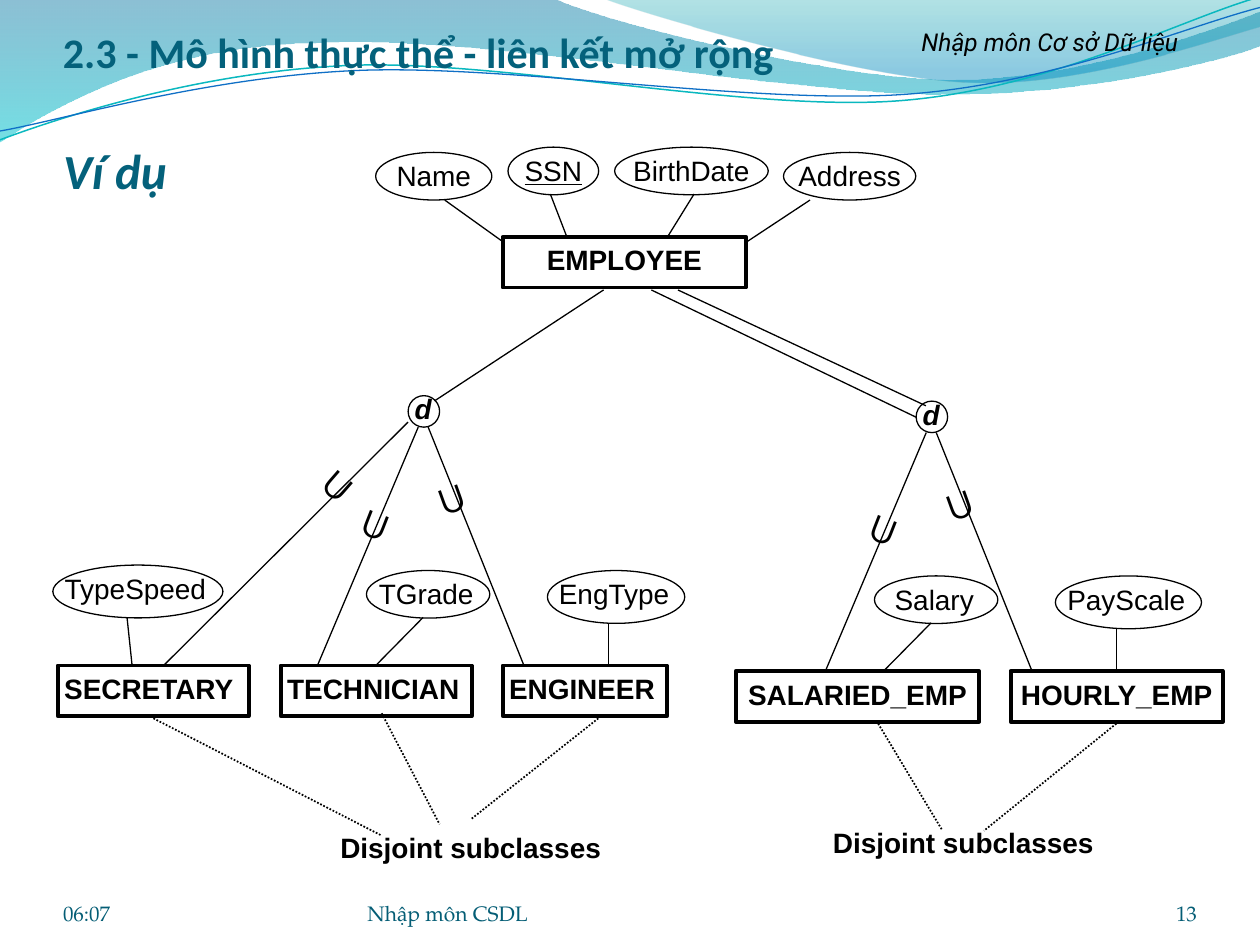
from collections import namedtuple
from math import cos, radians, sin

from pptx import Presentation
from pptx.dml.color import RGBColor
from pptx.enum.dml import MSO_LINE
from pptx.enum.shapes import MSO_CONNECTOR, MSO_SHAPE
from pptx.enum.text import MSO_ANCHOR as Anchor, MSO_AUTO_SIZE, PP_ALIGN as Align
from pptx.oxml.ns import qn
from pptx.oxml.xmlchemy import OxmlElement
from pptx.util import Pt

BLACK, TEAL, FOOTER_TEAL = "000000", "04617B", "045D75"
LABEL_HEIGHT, ENTITY_HEIGHT = 26.6, 29
ENTITY_TOP = 154.2
STRAND_TILT = 2.7


class Box(namedtuple("Box", "left top width height")):
    def inner(self, left, top, width, height):
        return Box(self.left + left, self.top + top, width, height)

    def lengths(self):
        return [Pt(value) for value in self]


def color(hex_string):
    return RGBColor.from_string(hex_string)


def write(shape, text, size=16, font="Arial", hue=BLACK, bold=False, italic=False,
          underline=False, align=Align.CENTER, anchor=Anchor.TOP,
          insets=(7.2, 3.6, 7.2, 3.6)):
    frame = shape.text_frame
    frame.word_wrap = True
    frame.auto_size = MSO_AUTO_SIZE.NONE
    frame.vertical_anchor = anchor
    frame.margin_left, frame.margin_top, frame.margin_right, frame.margin_bottom = (
        Pt(inset) for inset in insets)
    para = frame.paragraphs[0]
    para.text = text
    para.alignment = align
    para.font.size, para.font.name = Pt(size), font
    para.font.bold, para.font.italic, para.font.underline = bold, italic, underline
    para.font.color.rgb = color(hue)


def add_text(page, box, text, **style):
    shape = page.shapes.add_textbox(*box.lengths())
    write(shape, text, **style)
    return shape


def add_outline(page, kind, box, weight=0.75):
    shape = page.shapes.add_shape(kind, *box.lengths())
    shape.shadow.inherit = False
    shape.fill.background()
    shape.line.color.rgb = color(BLACK)
    shape.line.width = Pt(weight)
    return shape


def add_lines(page, box, ends, dotted=False):
    for x1, y1, x2, y2 in ends:
        line = page.shapes.add_connector(
            MSO_CONNECTOR.STRAIGHT, Pt(box.left + x1), Pt(box.top + y1),
            Pt(box.left + x2), Pt(box.top + y2))
        line.line.color.rgb = color(BLACK)
        line.line.width = Pt(1 if dotted else 0.75)
        if dotted:
            line.line.dash_style = MSO_LINE.ROUND_DOT
        line._element.spPr.append(OxmlElement("a:effectLst"))


def add_entity(page, box, name, align=Align.CENTER):
    shape = add_outline(page, MSO_SHAPE.RECTANGLE, box, 2.25)
    write(shape, name, bold=True, align=align, insets=(3.6,) * 4)


def add_attribute(page, box, name, overhang=0, underline=False):
    add_outline(page, MSO_SHAPE.OVAL, box)
    label = box.inner(-overhang, 0, box.width + 1.67 * overhang, LABEL_HEIGHT)
    add_text(page, label, name, underline=underline)


def add_subset_sign(page, box, left, top, angle):
    sign = add_text(page, box.inner(left, top, 33.1, 36), "∪", size=24, align=Align.LEFT)
    sign.rotation = angle


def add_curve(page, box, steps, closed):
    points = [(Pt(box.left + x), Pt(box.top + y)) for step in steps for x, y in step]
    builder = page.shapes.build_freeform(*points[0], scale=1.0)
    builder.add_line_segments(points[1:], close=closed)
    shape = builder.convert_to_shape()
    shape.shadow.inherit = False
    segments = iter(list(shape._element.spPr.iter(qn("a:lnTo"))))
    for step in steps[1:]:
        corners = [next(segments) for _ in step]
        if len(corners) == 3:
            bezier = OxmlElement("a:cubicBezTo")
            corners[0].addprevious(bezier)
            for corner in corners:
                bezier.append(corner[0])
                corner.getparent().remove(corner)
    return shape


def turn(steps, box, degrees):
    middle_x, middle_y = box.left + box.width / 2, box.top + box.height / 2
    c, s = cos(radians(degrees)), sin(radians(degrees))
    return [[(middle_x + (x - middle_x) * c - (y - middle_y) * s,
              middle_y + (x - middle_x) * s + (y - middle_y) * c) for x, y in step]
            for step in steps]


def draw_banner(page, box):
    waves = [
        ([[(0, -0.7)], [(316.8, -0.7)],
          [(342.7, 12.2), (478.1, 45.4), (545.8, 45.4)],
          [(614.2, 45.4), (689.8, 18.7), (720, 6.5)], [(720.7, 25.9)],
          [(707.8, 31.7), (626.4, 54.7), (537.1, 54)],
          [(447.8, 54), (275, 20.2), (185, 24.5)],
          [(92.9, 25.2), (33.1, 59.8), (-0.7, 81.4)]],
         [(0, "0074A1", 45), (1, "00C6CF", 55)]),
        ([[(344.9, -0.7)], [(366.5, 7.9), (491, 44.6), (553.7, 46.8)],
          [(616.3, 49.7), (691.9, 23), (720, 15.1)], [(720, 0)]],
         [(0, "00A1A9", 30), (0.8, "008BBF", 45)]),
    ]
    for steps, stops in waves:
        wave = add_curve(page, box, steps, True)
        wave.line.fill.background()
        wave.fill.gradient()
        wave.fill.gradient_angle = 270
        for stop, (position, hue, _) in zip(wave.fill.gradient_stops, stops):
            stop.position = position
            stop.color.rgb = color(hue)
        for tag, (_, _, opacity) in zip(wave._element.spPr.iter(qn("a:srgbClr")), stops):
            alpha = OxmlElement("a:alpha")
            alpha.set("val", str(opacity * 1000))
            tag.append(alpha)
    strands = [
        ([[(0, 79.9)], [(34.6, 67), (113.8, 41), (199.4, 37.4)],
          [(284.4, 33.8), (427, 64.1), (513.4, 57.6)],
          [(599.8, 51.1), (675.4, 10.8), (718.6, -1.4)]],
         "0AB8BF", 0.85, Box(-1.4, 15.8, 721.4, 51.1)),
        ([[(0, 74.9)], [(33.8, 69.1), (118.1, 43.9), (203.8, 40.3)],
          [(290.2, 36.7), (429.8, 59.8), (516.2, 54)],
          [(601.9, 48.2), (677.5, 15.1), (720, 4.3)]],
         "0F6FC6", 0.75, Box(-1.4, 21.6, 722.2, 41.8)),
    ]
    for steps, hue, weight, bounds in strands:
        strand = add_curve(page, box, turn(steps, bounds, STRAND_TILT), False)
        strand.rotation = 360 - STRAND_TILT
        strand.fill.background()
        strand.line.color.rgb = color(hue)
        strand.line.width = Pt(weight)
    add_text(page, box.inner(480, 12.2, 240, 24.5), "Nhập môn Cơ sở Dữ liệu",
             size=14, font="Roboto", italic=True)
    add_text(page, box.inner(36, 18, 648, 26), "2.3 - Mô hình thực thể - liên kết mở rộng",
             size=24, font="Calibri", hue=TEAL, bold=True, align=Align.LEFT,
             anchor=Anchor.BOTTOM, insets=(0, 3.6, 0, 0))


def draw_title(page, box):
    title = page.shapes.title
    title.left, title.top, title.width, title.height = box.lengths()
    write(title, "Ví dụ", size=28, font="Calibri", hue=TEAL, bold=True, italic=True,
          align=Align.LEFT, anchor=Anchor.BOTTOM, insets=(0, 3.6, 0, 0))


def draw_superclass(page, box):
    add_entity(page, box.inner(72.6, 51.2, 139, ENTITY_HEIGHT), "EMPLOYEE")
    for name, left, top, width in [("Name", 0, 3, 66.4), ("SSN", 75.6, 0, 51.8),
                                   ("BirthDate", 136.5, 0, 87.8), ("Address", 233, 3, 75.6)]:
        add_attribute(page, box.inner(left, top, width, 27.2), name, underline=name == "SSN")
    add_lines(page, box, [
        (212.2, 54, 248.2, 30.2), (39.4, 30.2, 72.6, 54),
        (181.9, 26.8, 166.8, 51.2), (99.8, 26.8, 109.2, 51.2),
        (130.2, 81.6, 33.6, 145), (172.7, 81.6, 314.4, 147.8), (157.5, 81.6, 308.8, 154.3)])


def draw_branch(page, box, middle, side, side_width, entities, align, caption, dotted):
    add_outline(page, MSO_SHAPE.OVAL, box.inner(0, 0, 18, 18))
    add_text(page, box.inner(-3.4, -5.8, 39.6, LABEL_HEIGHT), "d", bold=True, italic=True,
             align=Align.LEFT)
    add_lines(page, box, [
        (11.5, 18, 66.2, ENTITY_TOP), (5.8, 18, -51.8, ENTITY_TOP),
        (8.6, 126.7, -18.5, ENTITY_TOP), (114.5, 130.3, 114.5, ENTITY_TOP)])
    add_subset_sign(page, box, -33.5, 54.5, 21.4)
    add_subset_sign(page, box, 8.6, 39.5, 340.3)
    add_attribute(page, box.inner(-23.8, 99.9, 70.5, 27.2), middle, 6.5)
    add_attribute(page, box.inner(79.6, 99.9, side_width, 30.2), side, 7.2)
    for name, left, width in entities:
        add_entity(page, box.inner(left, ENTITY_TOP, width, ENTITY_HEIGHT), name, align)
    add_text(page, box.inner(*caption, 169.2, LABEL_HEIGHT), "Disjoint subclasses", bold=True)
    add_lines(page, box, dotted, dotted=True)


def draw_secretary_link(page, box):
    add_attribute(page, box.inner(-203, 96.8, 97.2, 30.2), "TypeSpeed", 8.6)
    add_lines(page, box, [(-160.6, 126.8, -157.7, ENTITY_TOP), (0, 15.1, -139.7, ENTITY_TOP)])
    add_subset_sign(page, box, -54.7, 33.1, 41.1)


def draw_footer(page, box):
    for text, left, width, align in [("06:07", 0, 168, Align.LEFT),
                                     ("Nhập môn CSDL", 174, 264, Align.LEFT),
                                     ("13", 588, 60, Align.RIGHT)]:
        add_text(page, box.inner(left, 0, width, box.height), text, size=12,
                 font="TeX Gyre Pagella", hue=FOOTER_TEAL, align=align,
                 anchor=Anchor.BOTTOM, insets=(0,) * 4)


def main():
    deck = Presentation()
    deck.slide_width, deck.slide_height = Pt(720), Pt(540)
    page = deck.slides.add_slide(deck.slide_layouts[5])
    draw_banner(page, Box(0, 0, 720, 82))
    draw_title(page, Box(36, 55.4, 144, 58.3))
    draw_superclass(page, Box(214.7, 84.1, 309, 81))
    job_box = Box(233.2, 226.1, 160, 272)
    draw_branch(page, job_box, "TGrade", "EngType", 78.5,
                [("SECRETARY", -200.1, 109), ("TECHNICIAN", -72.7, 109),
                 ("ENGINEER", 54.1, 93.8)], Align.LEFT, (-48.8, 244.8),
                [(-145.5, 184.4, -15.1, 251.4), (-15.1, 181.5, 18, 244.9),
                 (108.7, 184.4, 36, 242)])
    draw_secretary_link(page, job_box)
    draw_branch(page, Box(523.5, 229.2, 176, 266), "Salary", "PayScale", 83.5,
                [("SALARIED_EMP", -103, 139), ("HOURLY_EMP", 54, 121.2)],
                Align.CENTER, (-57.6, 238.8),
                [(-21.7, 184.3, 15.1, 245.5), (114.4, 184.3, 38.8, 245.5)])
    draw_footer(page, Box(36, 500.4, 648, 28.8))
    deck.save("out.pptx")


if __name__ == "__main__":
    main()
